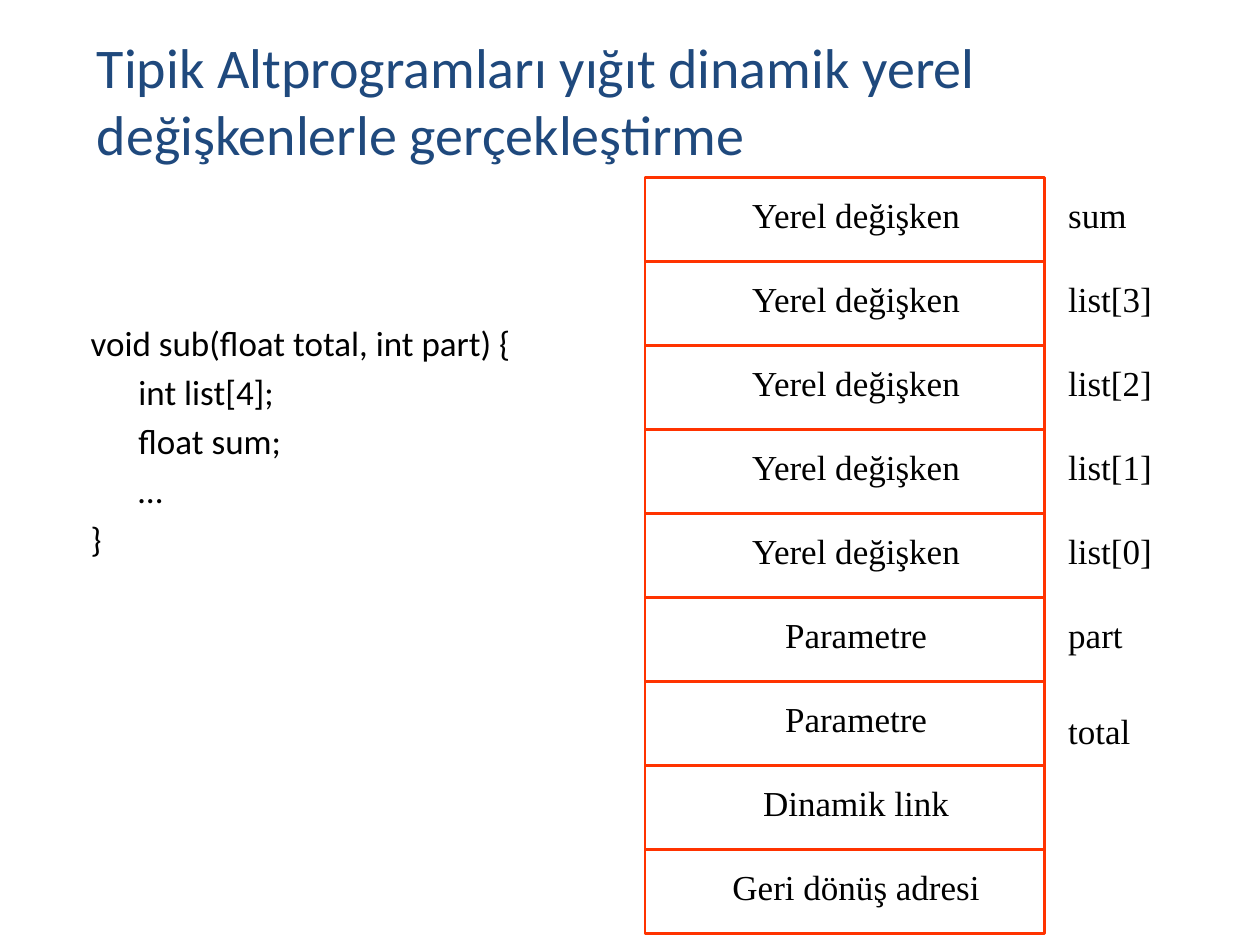
"""Build a slide showing the activation record of a typical subprogram."""
from pptx import Presentation
from pptx.dml.color import RGBColor
from pptx.enum.shapes import MSO_CONNECTOR, MSO_SHAPE
from pptx.enum.text import MSO_ANCHOR, MSO_AUTO_SIZE, PP_ALIGN
from pptx.oxml.ns import qn
from pptx.util import Inches, Pt

TITLE = "Tipik Altprogramları yığıt dinamik yerel değişkenlerle gerçekleştirme"
CODE = ["void sub(float total, int part) {", "\tint list[4];", "\tfloat sum;", "\t…", "}"]
LOCALS = [("Yerel değişken", name) for name in ("sum", "list[3]", "list[2]", "list[1]", "list[0]")]
OTHERS = [("Parametre", "part"), ("Parametre", "total"), ("Dinamik link", ""), ("Geri dönüş adresi", "")]
NUDGES = {"total": 0.09}

TITLE_FORMAT = {"size": Pt(32), "name": "Calibri"}
CODE_FORMAT = {"size": Pt(20), "name": "Calibri"}
STACK_FORMAT = {"size": Pt(20), "name": "Times New Roman"}

STACK_LEFT, STACK_TOP, STACK_WIDTH, ROW_HEIGHT = 5.12, 1.41, 3.17, 2 / 3
TEXT_LEFT, TEXT_WIDTH, TEXT_HEIGHT, TEXT_DROP = 5.71, 2.17, 0.43, 0.08
NAME_LEFT, NAME_WIDTH = 8.38, 1


def color(value):
    return RGBColor.from_string(value)


def inches(*lengths):
    return [Inches(length) for length in lengths]


def add_text(page, area, lines, font_format, font_color="000000", align=PP_ALIGN.LEFT, gap=0, hang=0):
    box = page.shapes.add_textbox(*inches(*area))
    frame = box.text_frame
    frame.word_wrap = True
    for index, line in enumerate(lines):
        para = frame.paragraphs[0] if index == 0 else frame.add_paragraph()
        para.alignment = align
        para.space_before = Pt(gap if index else 0)
        if hang:
            properties = para._p.get_or_add_pPr()
            properties.set("marL", str(Inches(hang)))
            properties.set("indent", str(-Inches(hang)))
        span = para.add_run()
        span.text = line
        for key, value in font_format.items():
            setattr(span.font, key, value)
        span.font.color.rgb = color(font_color)
    return frame


def style_line(shape):
    shape.line.color.rgb = color("FF3300")
    shape.line.width = Pt(1.5)


def add_frame(page, top, rows):
    area = inches(STACK_LEFT, top, STACK_WIDTH, rows * ROW_HEIGHT)
    box = page.shapes.add_shape(MSO_SHAPE.RECTANGLE, *area)
    box.shadow.inherit = False
    box.fill.background()
    style_line(box)


def add_divider(page, top):
    ends = inches(STACK_LEFT, top, STACK_LEFT + STACK_WIDTH, top)
    line = page.shapes.add_connector(MSO_CONNECTOR.STRAIGHT, *ends)
    style_line(line)
    properties = line._element.spPr
    properties.append(properties.makeelement(qn("a:effectLst"), {}))


def add_stack(page):
    tops = [STACK_TOP + row * ROW_HEIGHT for row in range(len(LOCALS + OTHERS))]
    split = len(LOCALS)
    for top in tops[:split]:
        add_frame(page, top, 1)
    add_frame(page, tops[split], len(OTHERS))
    for top in tops[split + 1:]:
        add_divider(page, top)
    for top, (content, name) in zip(tops, LOCALS + OTHERS):
        text_top = top + TEXT_DROP
        cells = [(TEXT_LEFT, TEXT_WIDTH, text_top, content, PP_ALIGN.CENTER)]
        if name:
            cells.append((NAME_LEFT, NAME_WIDTH, text_top + NUDGES.get(name, 0), name, PP_ALIGN.LEFT))
        for left, width, cell_top, text, align in cells:
            area = (left, cell_top, width, TEXT_HEIGHT)
            frame = add_text(page, area, [text], STACK_FORMAT, align=align)
            frame.auto_size = MSO_AUTO_SIZE.SHAPE_TO_FIT_TEXT


def main():
    deck = Presentation()
    deck.slide_width, deck.slide_height = inches(10, 7.5)
    page = deck.slides.add_slide(deck.slide_layouts[6])
    title = add_text(page, (0.67, 0.25, 8.92, 1.08), [TITLE], TITLE_FORMAT, "1F497D")
    title.vertical_anchor = MSO_ANCHOR.MIDDLE
    code = add_text(page, (0.62, 1.33, 3.75, 5.67), CODE, CODE_FORMAT, gap=4, hang=0.38)
    code.margin_top = Inches(1.22)
    add_stack(page)
    deck.save("out.pptx")


if __name__ == "__main__":
    main()
